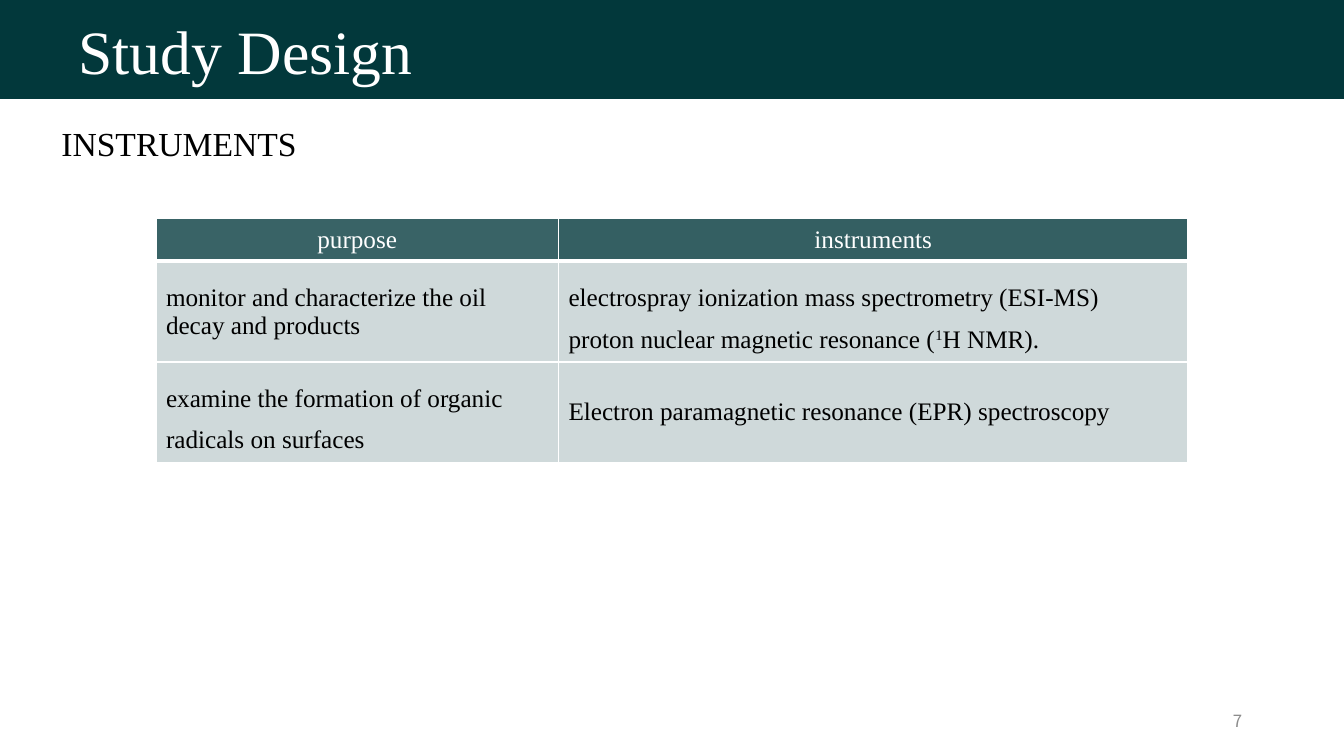
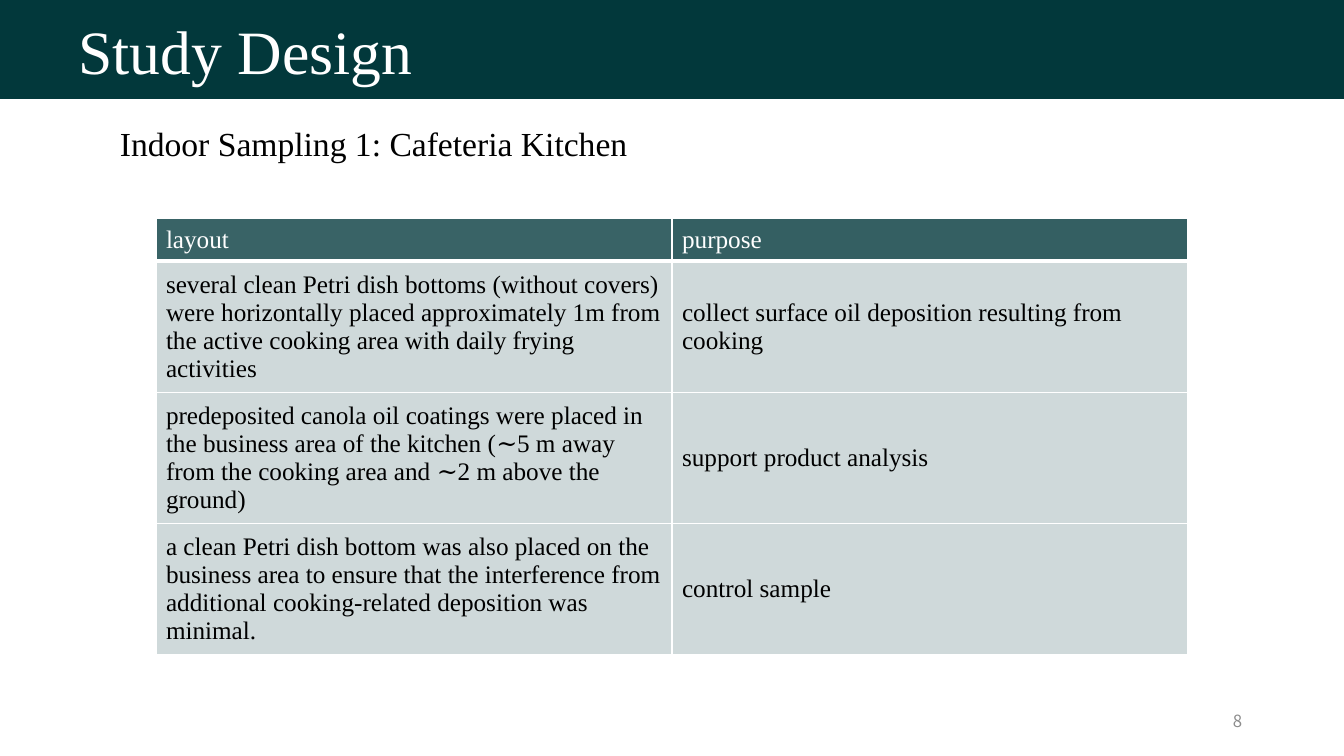
from dataclasses import dataclass

import lxml.etree
import pptx
import pptx.dml.color
import pptx.enum.shapes
import pptx.enum.text
import pptx.oxml.ns
import pptx.util

ALIGN = pptx.enum.text.PP_ALIGN
ANCHOR = pptx.enum.text.MSO_ANCHOR


@dataclass(frozen=True)
class Theme:
    teal: str = "02383B"
    white: str = "FFFFFF"
    black: str = "000000"
    grey: str = "8C8C8C"
    serif: str = "Times New Roman"
    sans: str = "Noto Sans CJK SC"
    title_size: int = 44
    heading_size: int = 24
    table_size: int = 18
    number_size: int = 12
    header_opacity: tuple = (78, 80)  # left and right column, percent
    body_opacity: int = 19
    thin: int = 1
    thick: int = 3


@dataclass(frozen=True)
class Loose:
    """Cell text set with wide line spacing."""
    text: str
    spacing: float = 1.5


def rgb(value):
    return pptx.dml.color.RGBColor.from_string(value)


def write(frame, text, *, size, color, font, align=ALIGN.LEFT, spacing=1.0):
    """Fill a text frame: newlines part paragraphs, ^marks^ enclose superscripts."""
    frame.word_wrap = True
    for index, line in enumerate(text.split("\n")):
        paragraph = frame.add_paragraph() if index else frame.paragraphs[0]
        paragraph.alignment = align
        paragraph.line_spacing = spacing
        for part, words in enumerate(line.split("^")):
            run = paragraph.add_run()
            run.text = words
            run.font.size = pptx.util.Pt(size)
            run.font.name = font
            run.font.color.rgb = rgb(color)
            if part % 2:
                run._r.get_or_add_rPr().set("baseline", "30000")


class Deck:
    """Holds the style and the current slide; lengths are percent of the slide."""

    def __init__(self, theme):
        self.theme = theme
        self.file = pptx.Presentation()
        self.file.slide_width = pptx.util.Inches(13.33)
        self.file.slide_height = pptx.util.Inches(7.5)
        self.slide = None

    def x(self, share):
        return round(self.file.slide_width * share / 100)

    def y(self, share):
        return round(self.file.slide_height * share / 100)

    def box(self, left, top, width, height):
        return self.x(left), self.y(top), self.x(width), self.y(height)

    def start(self, title, number):
        self.slide = self.file.slides.add_slide(self.file.slide_layouts[6])
        self.title_band(title)
        self.page_number(number)

    def title_band(self, title):
        band = self.slide.shapes.add_shape(
            pptx.enum.shapes.MSO_SHAPE.RECTANGLE, *self.box(0, 0, 100, 13.1))
        band.shadow.inherit = False
        band.fill.solid()
        band.fill.fore_color.rgb = rgb(self.theme.teal)
        band.line.fill.background()
        frame = band.text_frame
        frame.vertical_anchor = ANCHOR.MIDDLE
        frame.margin_left = self.x(5.85)
        frame.margin_top, frame.margin_bottom = self.y(1.3), 0
        write(frame, title, size=self.theme.title_size, color=self.theme.white,
              font=self.theme.serif, spacing=0.9)

    def page_number(self, number):
        label = self.slide.shapes.add_textbox(*self.box(70.67, 92.7, 22.5, 5.3))
        label.text_frame.vertical_anchor = ANCHOR.MIDDLE
        write(label.text_frame, str(number), size=self.theme.number_size,
              color=self.theme.grey, font=self.theme.sans, align=ALIGN.RIGHT)

    def heading(self, text, left):
        label = self.slide.shapes.add_textbox(*self.box(left, 15.6, 90, 7))
        write(label.text_frame, text, size=self.theme.heading_size,
              color=self.theme.black, font=self.theme.serif)

    def table(self, rows, split, row_height, header_align=ALIGN.LEFT):
        """Centred two-column table; split is the first column's share of it."""
        width, header_height = 76.8, 5.6
        body_height = row_height * (len(rows) - 1)
        grid = self.slide.shapes.add_table(
            len(rows), 2, *self.box((100 - width) / 2, 28.95, width,
                                    header_height + body_height)).table
        grid.horz_banding = False
        for column, share in zip(grid.columns, (split, 1 - split)):
            column.width = self.x(width * share)
        for r, entries in enumerate(rows):
            grid.rows[r].height = self.y(row_height if r else header_height)
            for c, entry in enumerate(entries):
                self.cell(grid.cell(r, c), entry, r, c, header_align)

    def cell(self, cell, entry, row, column, header_align):
        theme = self.theme
        header = row == 0
        cell.vertical_anchor = ANCHOR.MIDDLE
        self.borders(cell, top=theme.thick if row == 1 else theme.thin,
                     bottom=theme.thick if header else theme.thin)
        self.tint(cell, theme.header_opacity[column] if header else theme.body_opacity)
        loose = isinstance(entry, Loose)
        write(cell.text_frame, entry.text if loose else entry,
              size=theme.table_size, font=theme.serif,
              color=theme.white if header else theme.black,
              align=header_align if header else ALIGN.LEFT,
              spacing=entry.spacing if loose else 1.0)

    def borders(self, cell, top, bottom):
        qn = pptx.oxml.ns.qn
        properties = cell._tc.get_or_add_tcPr()
        sides = {"L": self.theme.thin, "R": self.theme.thin, "T": top, "B": bottom}
        for side, points in sides.items():
            line = lxml.etree.SubElement(properties, qn(f"a:ln{side}"),
                                         w=str(int(pptx.util.Pt(points))))
            fill = lxml.etree.SubElement(line, qn("a:solidFill"))
            lxml.etree.SubElement(fill, qn("a:srgbClr"), val=self.theme.white)

    def tint(self, cell, opacity):
        qn = pptx.oxml.ns.qn
        cell.fill.solid()
        cell.fill.fore_color.rgb = rgb(self.theme.teal)
        color = cell._tc.tcPr.find(f"{qn('a:solidFill')}/{qn('a:srgbClr')}")
        lxml.etree.SubElement(color, qn("a:alpha"), val=str(opacity * 1000))


def main():
    deck = Deck(Theme())

    # Instruments
    deck.start("Study Design", 7)
    deck.heading("INSTRUMENTS", left=3.83)
    instruments = [
        ("purpose", "instruments"),
        ("monitor and characterize the oil decay and products",
         Loose("electrospray ionization mass spectrometry (ESI-MS)\n"
               "proton nuclear magnetic resonance (^1^H NMR).")),
        (Loose("examine the formation of organic radicals on surfaces"),
         "Electron paramagnetic resonance (EPR) spectroscopy"),
    ]
    deck.table(instruments, split=0.39, row_height=13.3, header_align=ALIGN.CENTER)

    # Indoor sampling
    deck.start("Study Design", 8)
    deck.heading("Indoor Sampling 1: Cafeteria Kitchen", left=8.18)
    sampling = [
        ("layout", "purpose"),
        ("several clean Petri dish bottoms (without covers) were horizontally placed "
         "approximately 1m from the active cooking area with daily frying activities",
         "collect surface oil deposition resulting from cooking"),
        ("predeposited canola oil coatings were placed in the business area of the "
         "kitchen (∼5 m away from the cooking area and ∼2 m above the ground)",
         "support product analysis"),
        ("a clean Petri dish bottom was also placed on the business area to ensure that "
         "the interference from additional cooking-related deposition was minimal.",
         "control sample"),
    ]
    deck.table(sampling, split=0.5, row_height=17.3)

    deck.file.save("out.pptx")


if __name__ == "__main__":
    main()
